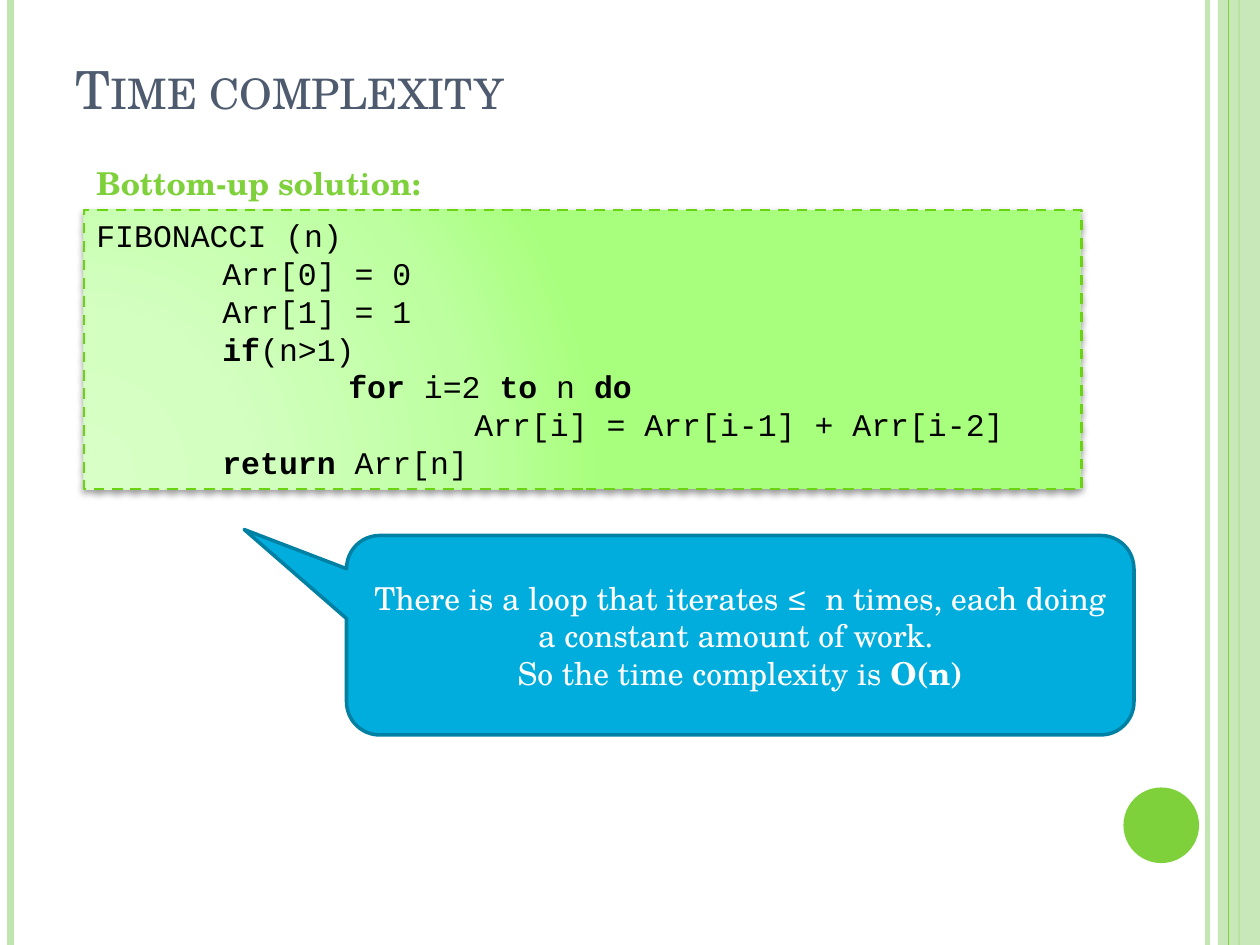
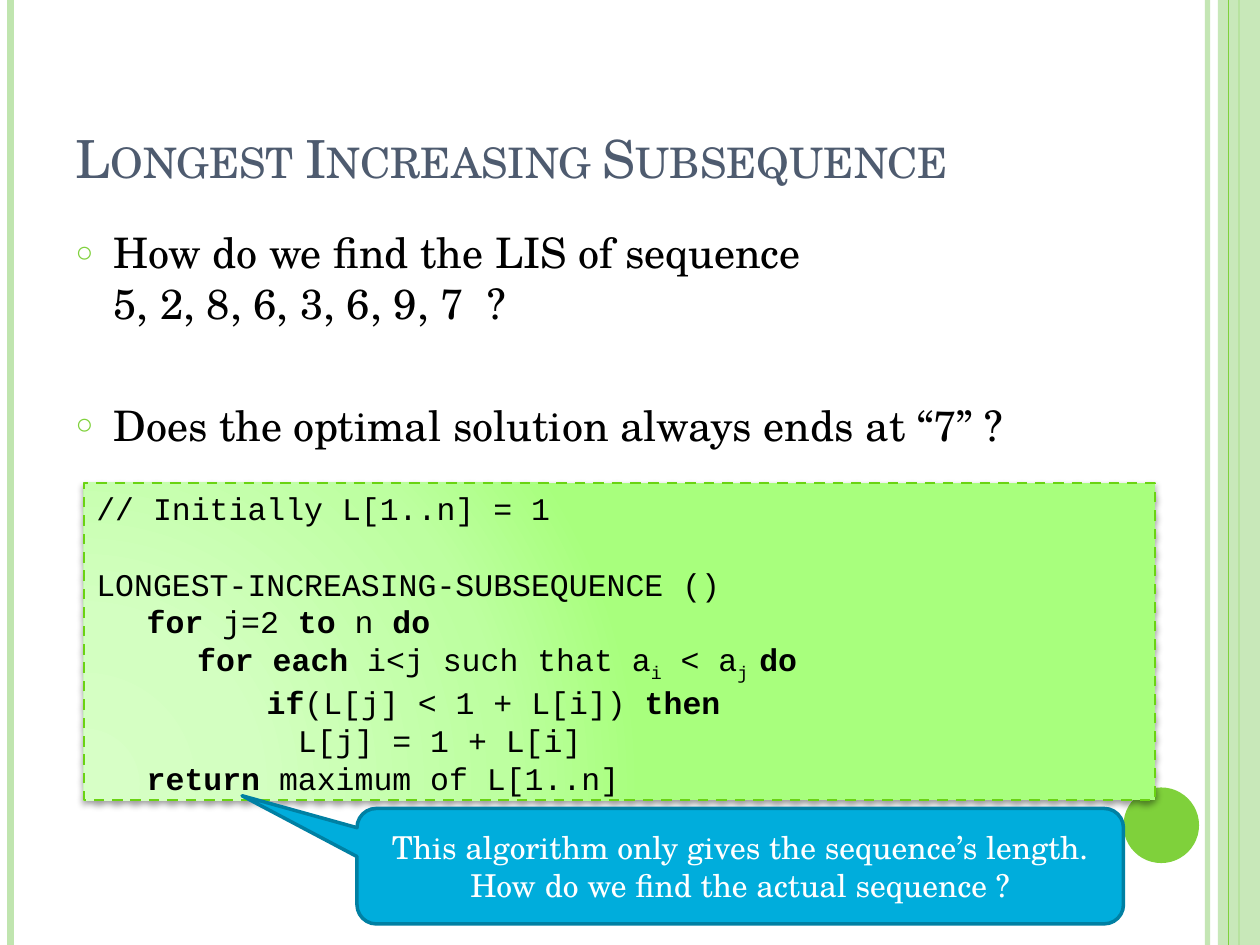
from dataclasses import dataclass
from lxml import etree
from pptx import Presentation, util as u
from pptx.dml.color import RGBColor
from pptx.enum import dml, shapes, text
from pptx.oxml import ns, parse_xml

COLS, ROWS = 120, 90


@dataclass(frozen=True)
class Theme:
    """Colours, fonts and type sizes of the deck."""
    green: str = "7FD13B"
    pale: str = "C0E5AF"
    slate: str = "4E5B6F"
    blue: str = "00ADDC"
    blue_edge: str = "0080A3"
    code_edge: str = "6AD312"
    black: str = "000000"
    white: str = "FFFFFF"
    code_stops: tuple = ((0, "D7FFC6"), (30, "D3FFC1"), (75, "BDFFA0"), (100, "A8FF7D"))
    serif: str = "TeX Gyre Schola"
    mono: str = "Courier New"
    title: int = 30
    body: int = 24
    small: int = 18


T = Theme()


def rgb(value):
    """Turn a hex string into a colour."""
    return RGBColor.from_string(value)


def grid(prs, *cells):
    """Turn alternating columns and rows into slide lengths."""
    units = (prs.slide_width / COLS, prs.slide_height / ROWS)
    return [u.Emu(round(c * units[i % 2])) for i, c in enumerate(cells)]


def marked(line):
    """Yield text with its active marks: * bold, ~ subscript, ` monospace."""
    marks, piece = set(), ""
    for ch in line:
        if ch in "*~`":
            if piece:
                yield piece, frozenset(marks)
            marks, piece = marks ^ {ch}, ""
        else:
            piece += ch
    if piece:
        yield piece, frozenset(marks)


def write(p, line, size=T.small, color=T.black, font=T.serif, bold=False,
          caps=False, align=text.PP_ALIGN.LEFT, before=0, indent=0, hang=0):
    """Write marked text, with line breaks, into a paragraph."""
    p.alignment, p.space_before = align, u.Pt(before)
    pPr = p._p.get_or_add_pPr()
    pPr.set("marL", str(u.Inches(indent)))
    pPr.set("indent", str(-u.Inches(hang)))
    for n, part in enumerate(line.split("\n")):
        if n:
            p.add_line_break()
        for piece, marks in marked(part):
            r = p.add_run()
            r.text = piece
            r.font.size, r.font.color.rgb = u.Pt(size), rgb(color)
            r.font.name = T.mono if "`" in marks else font
            r.font.bold = bold or "*" in marks
            rPr = r.font._element
            if "~" in marks:
                rPr.set("baseline", "-25000")
            if caps:
                rPr.set("cap", "small")


def paragraphs(tf, count):
    """Return the frame's paragraphs, extended to the wanted number."""
    return [tf.paragraphs[0]] + [tf.add_paragraph() for _ in range(count - 1)]


def transparent(fill, percent):
    """Give a solid fill its opacity in percent."""
    clr = fill._xPr.find(".//" + ns.qn("a:srgbClr"))
    etree.SubElement(clr, ns.qn("a:alpha")).set("val", str(percent * 1000))


def rule(prs, s, col, color, weight, opacity=100):
    """Draw a full-height vertical line."""
    c = s.shapes.add_connector(shapes.MSO_CONNECTOR.STRAIGHT, *grid(prs, col, 0, col, ROWS))
    c.line.color.rgb, c.line.width = rgb(color), u.Pt(weight)
    if opacity < 100:
        transparent(c.line.fill, opacity)
    etree.SubElement(c.element.spPr, ns.qn("a:effectLst"))
    return c


def shape(prs, s, kind, cells, fill, edge=None, weight=2):
    """Draw a flat preset shape."""
    sp = s.shapes.add_shape(kind, *grid(prs, *cells))
    sp.fill.solid()
    sp.fill.fore_color.rgb = rgb(fill)
    if edge:
        sp.line.color.rgb, sp.line.width = rgb(edge), u.Pt(weight)
    else:
        sp.line.fill.background()
    sp.shadow.inherit = False
    return sp


def decorate_master(prs, s):
    """Draw the side bands and disc, and move them to the master."""
    band = shape(prs, s, shapes.MSO_SHAPE.RECTANGLE, (116, 0, 4, ROWS), T.pale)
    transparent(band.fill, 87)
    parts = [
        rule(prs, s, 115, T.pale, 3, 93),
        rule(prs, s, 1, T.pale, 4.5),
        rule(prs, s, 118, T.green, 1.5),
        band,
        rule(prs, s, 117, T.green, 0.75),
        shape(prs, s, shapes.MSO_SHAPE.OVAL, (107, 75, 7.2, 7.2), T.green),
    ]
    for part in parts:
        prs.slide_master.element.cSld.spTree.append(part.element)


def title(prs, s, words, height):
    """Place and fill the title placeholder."""
    sp = s.shapes.title
    sp.left, sp.top, sp.width, sp.height = grid(prs, 6, 3.6, 98, height)
    tf = sp.text_frame
    tf.vertical_anchor, tf.auto_size = text.MSO_ANCHOR.BOTTOM, text.MSO_AUTO_SIZE.NONE
    write(tf.paragraphs[0], words, size=T.title, color=T.slate, caps=True)


def bullets(prs, s, cells, items):
    """Fill the body placeholder with (text, space before) items."""
    sp = s.placeholders[1]
    sp.left, sp.top, sp.width, sp.height = grid(prs, *cells)
    tf = sp.text_frame
    tf.auto_size = text.MSO_AUTO_SIZE.NONE
    for p, (line, before) in zip(paragraphs(tf, len(items)), items):
        write(p, line, size=T.body, before=before, indent=0.3, hang=0.3)
        pPr = p._p.pPr
        clr = etree.SubElement(pPr, ns.qn("a:buClr"))
        etree.SubElement(clr, ns.qn("a:srgbClr")).set("val", T.green)
        etree.SubElement(pPr, ns.qn("a:buSzPct")).set("val", "70000")
        etree.SubElement(pPr, ns.qn("a:buChar")).set("char", "○")


def code_box(prs, s, cells, lines, step):
    """Draw a dashed code panel from (level, text, space before) lines."""
    sp = shape(prs, s, shapes.MSO_SHAPE.RECTANGLE, cells, T.code_stops[-1][1], T.code_edge, 1.5)
    sp.line.dash_style = dml.MSO_LINE.DASH
    spPr = sp.element.spPr
    stops = "".join(f'<a:gs pos="{pos * 1000}"><a:srgbClr val="{c}"/></a:gs>'
                    for pos, c in T.code_stops)
    spPr.replace(spPr.find(ns.qn("a:solidFill")), parse_xml(
        f'<a:gradFill {ns.nsdecls("a")}><a:gsLst>{stops}</a:gsLst><a:path path="circle">'
        '<a:fillToRect l="5000" t="100000" r="120000" b="10000"/></a:path></a:gradFill>'))
    spPr.find(ns.qn("a:effectLst")).append(parse_xml(
        f'<a:outerShdw {ns.nsdecls("a")} blurRad="{u.Pt(4)}" dist="{u.Pt(2)}" dir="5400000" '
        f'rotWithShape="0"><a:srgbClr val="{T.black}"><a:alpha val="40000"/></a:srgbClr>'
        '</a:outerShdw>'))
    tf = sp.text_frame
    tf.word_wrap, tf.vertical_anchor = True, text.MSO_ANCHOR.TOP
    for p, (level, line, before) in zip(paragraphs(tf, len(lines)), lines):
        write(p, line, font=T.mono, indent=level * step, before=before)


def label(prs, s, cells, words):
    """Write a bold green heading."""
    tf = s.shapes.add_textbox(*grid(prs, *cells)).text_frame
    tf.word_wrap = False
    write(tf.paragraphs[0], words, color=T.green, bold=True)


def callout(prs, s, cells, tip, words):
    """Draw a rounded speech balloon whose tail ends at tip."""
    sp = shape(prs, s, shapes.MSO_SHAPE.ROUNDED_RECTANGULAR_CALLOUT, cells, T.blue, T.blue_edge)
    for i, value in enumerate(tip):
        sp.adjustments[i] = value
    tf = sp.text_frame
    tf.word_wrap, tf.vertical_anchor = True, text.MSO_ANCHOR.MIDDLE
    write(tf.paragraphs[0], words, color=T.white, align=text.PP_ALIGN.CENTER)


def time_complexity(prs):
    """Build the slide on the cost of the bottom-up solution."""
    s = prs.slides.add_slide(prs.slide_layouts[5])
    title(prs, s, "Time complexity", 8.4)
    code_box(prs, s, (8, 20, 95, 26.6), [
        (0, "FIBONACCI (n)", 0),
        (1, "Arr[0] = 0", 0),
        (1, "Arr[1] = 1", 0),
        (1, "*if*(n>1)", 0),
        (2, "*for* i=2 *to* n *do*", 0),
        (3, "Arr[i] = Arr[i-1] + Arr[i-2]", 0),
        (1, "*return* Arr[n]", 0),
    ], step=1)
    label(prs, s, (8, 15, 36, 4.8), "Bottom-up solution:")
    callout(prs, s, (33, 51, 75, 19), (-0.63, -0.53),
            "There is a loop that iterates `≤ `n times, each doing a constant amount of work. \n"
            "So the time complexity is *O(n)*")
    return s


def longest_subsequence(prs):
    """Build the slide on the longest increasing subsequence."""
    s = prs.slides.add_slide(prs.slide_layouts[1])
    title(prs, s, "Longest Increasing Subsequence", 15)
    bullets(prs, s, (6, 21, 98, 64), [
        ("How do we find the LIS of sequence \n5, 2, 8, 6, 3, 6, 9, 7  ?", 6),
        ("Does the optimal solution always ends at “7” ?", 41),
    ])
    code_box(prs, s, (8, 46, 102, 30.2), [
        (0, "// Initially L[1..n] = 1", 0),
        (0, "LONGEST-INCREASING-SUBSEQUENCE ()", 21.5),
        (1, "*for* j=2 *to* n *do*", 0),
        (2, "*for each* i<j such that a~i~ < a~j ~*do*", 0),
        (3.38, "*if*(L[j] < 1 + L[i]) *then*", 0),
        (4, "L[j] = 1 + L[i]", 0),
        (1, "*return* maximum of L[1..n]", 0),
    ], step=0.4)
    callout(prs, s, (34, 77, 73, 11), (-0.65, -0.61),
            "This algorithm only gives the sequence’s length. How do we find the actual sequence ?")


def main():
    """Build and save the deck."""
    prs = Presentation()
    prs.slide_width, prs.slide_height = u.Inches(10), u.Inches(7.5)
    decorate_master(prs, time_complexity(prs))
    longest_subsequence(prs)
    prs.save("out.pptx")


if __name__ == "__main__":
    main()
